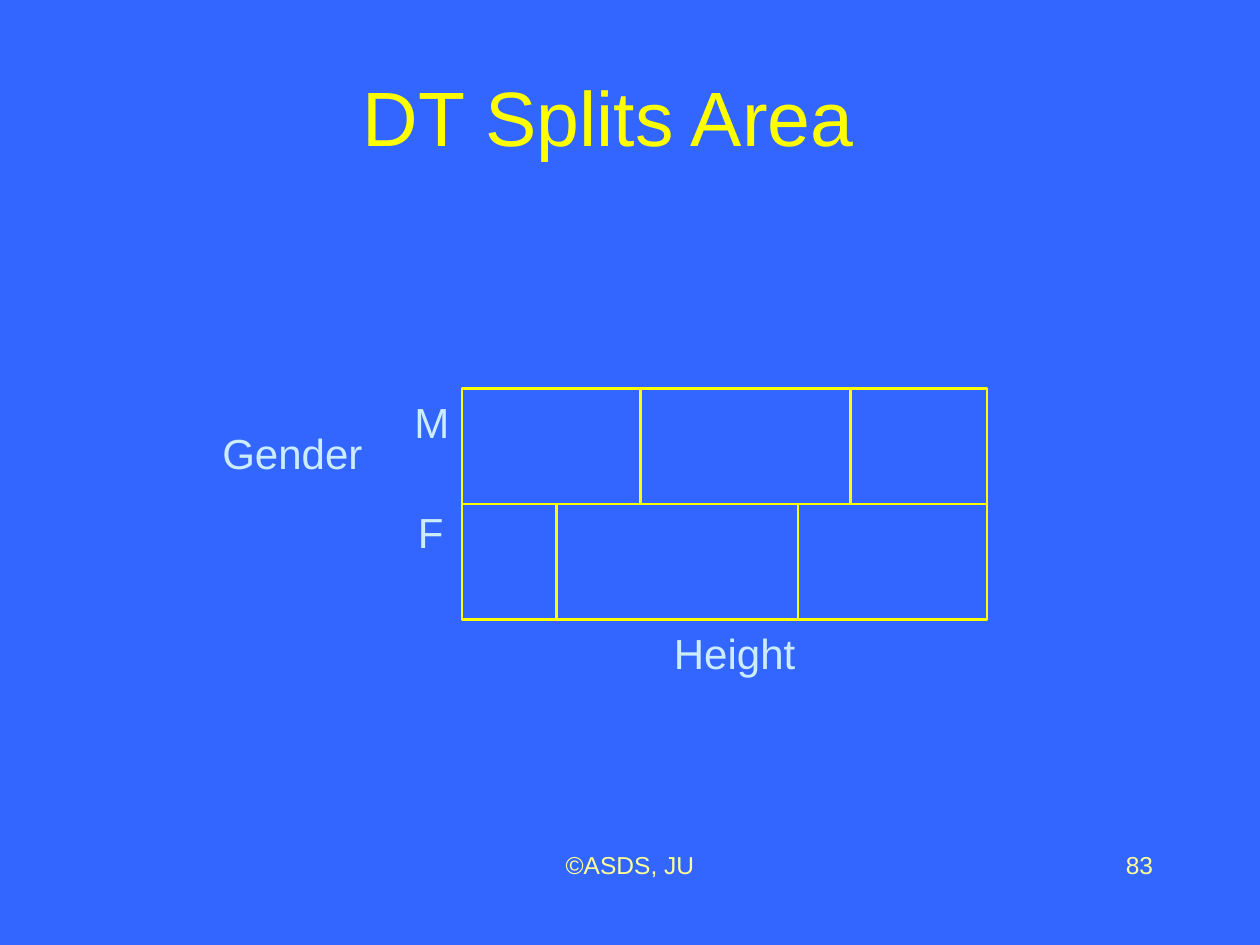
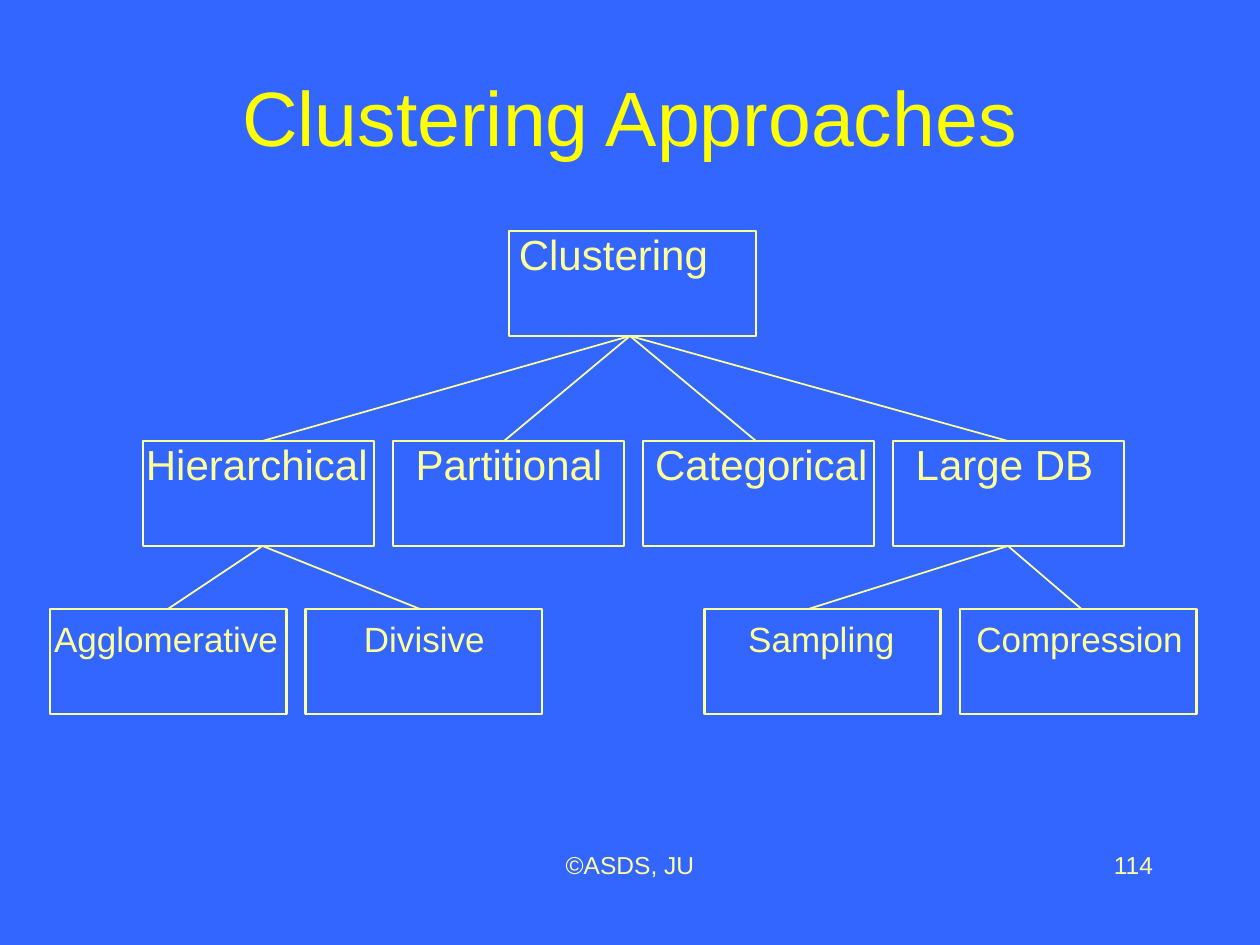
import pptx
import pptx.dml.color
import pptx.enum.shapes
import pptx.enum.text
import pptx.oxml.ns
import pptx.util
from lxml import etree

Pt = pptx.util.Pt
RGBColor = pptx.dml.color.RGBColor
ALIGN = pptx.enum.text.PP_ALIGN
ANCHOR = pptx.enum.text.MSO_ANCHOR

BLUE = RGBColor(0x33, 0x66, 0xFF)
YELLOW = RGBColor(0xFF, 0xFF, 0x00)
PALE_YELLOW = RGBColor(0xFF, 0xFF, 0x99)
PALE_BLUE = RGBColor(0xCC, 0xEC, 0xFF)
FONT = "Arial"


def add_text(s, text, left, top, width, height=36, size=24, color=PALE_YELLOW,
             align=ALIGN.LEFT, anchor=ANCHOR.TOP, spacing=0.3, wrap=True, right_inset=7.2):
    tf = s.shapes.add_textbox(Pt(left), Pt(top), Pt(width), Pt(height)).text_frame
    tf.word_wrap = wrap
    tf.vertical_anchor = anchor
    tf.margin_right = Pt(right_inset)
    p = tf.paragraphs[0]
    p.alignment = align
    p.line_spacing = spacing
    r = p.add_run()
    r.text = text
    r.font.name = FONT
    r.font.size = Pt(size)
    r.font.color.rgb = color


# Height-by-gender area: outline, one split by gender, then splits by height
LEFT, TOP, WIDTH, ROW = 264, 222, 300, 66
MIDDLE = TOP + ROW
area_outlines = [(LEFT, TOP, WIDTH, 2 * ROW)]
area_lines = [(LEFT, MIDDLE, LEFT + WIDTH, MIDDLE)]
for row_top, splits in ((TOP, (366, 486)), (MIDDLE, (318, 456))):
    for x in splits:
        area_lines.append((x, row_top, x, row_top + ROW))
area_labels = [
    dict(text="Gender", left=120, top=258, width=100),
    dict(text="Height", left=378, top=372, width=84),
    dict(text="M", left=229.7, top=240, width=34.6, wrap=False),
    dict(text="F", left=231.8, top=303, width=28.8, wrap=False),
]
for label in area_labels:
    label["color"] = PALE_BLUE

# Clustering tree: boxes by level, branches from parent to children
BOX_H, ROOT_TOP, KIND_TOP, LEAF_TOP = 60, 132, 252, 348
tree_outlines = [(290.9, ROOT_TOP, 141.1, BOX_H)]
for i in range(4):
    tree_outlines.append((81.8 + 142.8 * i, KIND_TOP, 132, BOX_H))
for pair_left in (28.6, 402.5):
    for i in range(2):
        tree_outlines.append((pair_left + 146.1 * i, LEAF_TOP, 135, BOX_H))

tree_lines = []
for parent_x, parent_top, child_top, children in (
        (360, ROOT_TOP, KIND_TOP, (150, 288, 432, 576)),
        (150, KIND_TOP, LEAF_TOP, (96, 240)),
        (576, KIND_TOP, LEAF_TOP, (462, 618))):
    for x in children:
        tree_lines.append((parent_x, parent_top + BOX_H, x, child_top))

tree_labels = [dict(text="Clustering", left=289.4, top=144, width=140.4)]
for top, size, height, names in (
        (264, 24, 36, (("Hierarchical", 76.3, 141.1), ("Partitional", 230.4, 121.7),
                       ("Categorical", 367.2, 136.1), ("Large DB", 516.2, 115.9))),
        (363.6, 20, 31, (("Agglomerative", 23.8, 142.5), ("Divisive", 200.9, 83.5),
                         ("Sampling", 420.5, 97.9), ("Compression", 550.8, 132.5)))):
    for text, left, width in names:
        tree_labels.append(dict(text=text, left=left, top=top, width=width,
                                height=height, size=size, wrap=False))

SLIDES = [
    dict(title="DT Splits Area", title_inset=31.6, number="83", ink=YELLOW, line_width=1.5,
         outlines=area_outlines, lines=area_lines, labels=area_labels),
    dict(title="Clustering Approaches", title_inset=7.2, number="114", ink=PALE_YELLOW, line_width=1,
         outlines=tree_outlines, lines=tree_lines, labels=tree_labels),
]

prs = pptx.Presentation()
prs.slide_width, prs.slide_height = Pt(720), Pt(540)

for page in SLIDES:
    s = prs.slides.add_slide(prs.slide_layouts[6])
    s.background.fill.solid()
    s.background.fill.fore_color.rgb = BLUE
    add_text(s, "©ASDS, JU", 246, 492, 228, size=14, align=ALIGN.CENTER)
    add_text(s, page["number"], 516, 492, 150, size=14, align=ALIGN.RIGHT)
    add_text(s, page["title"], 54, 18, 612, 96, size=44, color=YELLOW, align=ALIGN.CENTER,
             anchor=ANCHOR.MIDDLE, spacing=1.0, right_inset=page["title_inset"])

    for box in page["outlines"]:
        sp = s.shapes.add_shape(pptx.enum.shapes.MSO_SHAPE.RECTANGLE, *map(Pt, box))
        sp.shadow.inherit = False
        sp.fill.background()
        sp.line.color.rgb = page["ink"]
        sp.line.width = Pt(1.5)
    for ends in page["lines"]:
        line = s.shapes.add_connector(pptx.enum.shapes.MSO_CONNECTOR.STRAIGHT, *map(Pt, ends))
        line.line.color.rgb = page["ink"]
        line.line.width = Pt(page["line_width"])
        etree.SubElement(line._element.spPr, pptx.oxml.ns.qn("a:effectLst"))
    for label in page["labels"]:
        add_text(s, **label)

prs.save("out.pptx")
